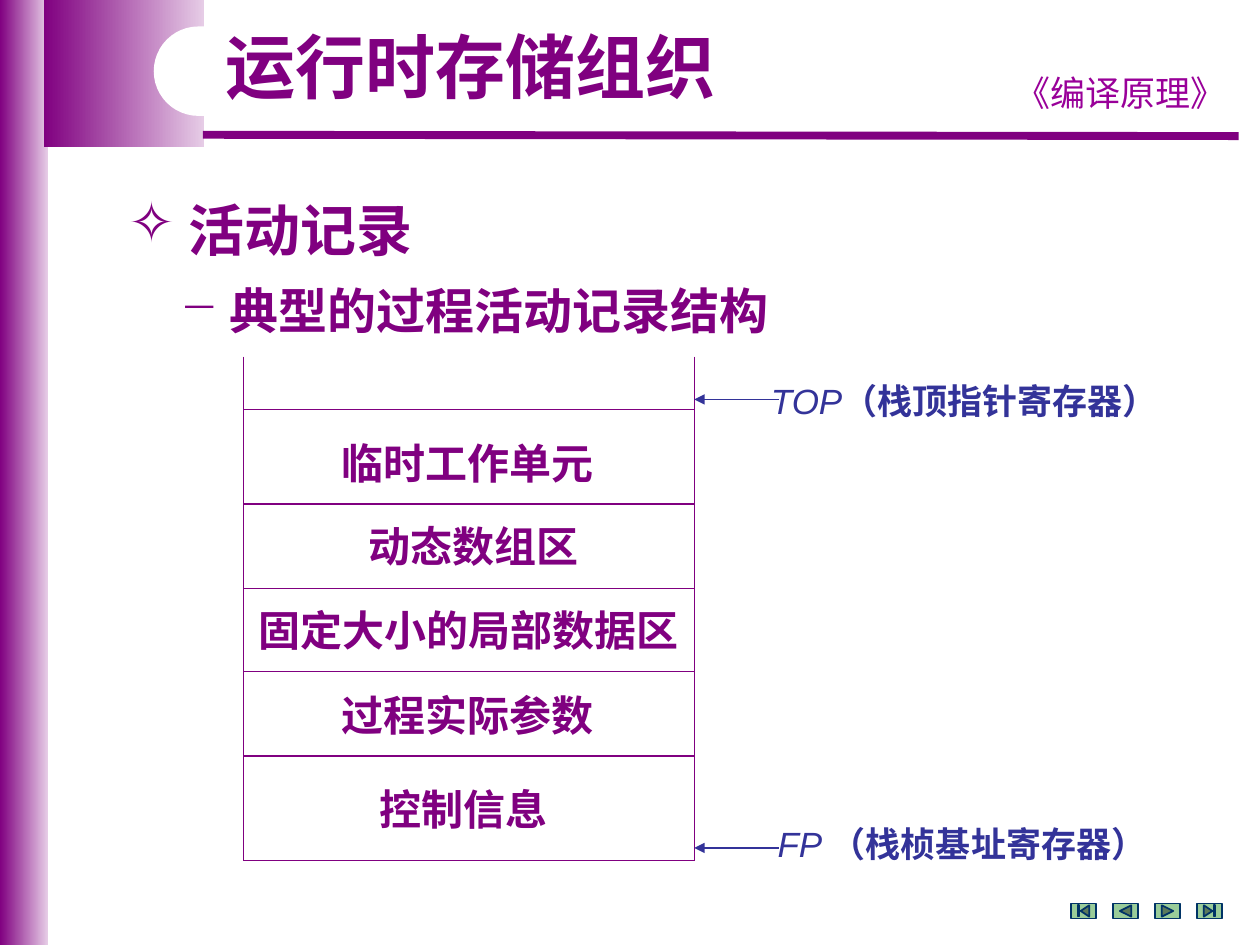
from pptx import Presentation
from pptx.dml.color import RGBColor
from pptx.enum.shapes import MSO_CONNECTOR, MSO_SHAPE as Shape
from pptx.enum.text import MSO_ANCHOR, MSO_AUTO_SIZE, PP_ALIGN as Align
from pptx.oxml.ns import qn
from pptx.util import Inches, Pt
from lxml import etree

COLORS = {
    "purple": "800080",
    "pale": "E6CCE6",
    "course": "990099",
    "pointer": "333399",
    "button": "99CC99",
    "button_line": "003366",
    "white": "FFFFFF",
}


def rgb(name):
    return RGBColor.from_string(COLORS[name])


def write(box, spans, size, color="purple", align=Align.LEFT, spacing=None,
          bullet=None, indent=0):
    """Fill a box with one paragraph; each span is (text, font, bold, italic)."""
    frame = box.text_frame
    frame.word_wrap = True
    frame.auto_size = MSO_AUTO_SIZE.SHAPE_TO_FIT_TEXT
    frame.vertical_anchor = MSO_ANCHOR.TOP
    frame.margin_left = frame.margin_right = Inches(0.1)
    frame.margin_top = frame.margin_bottom = Inches(0.05)
    para = frame.paragraphs[0]
    para.alignment = align
    para.space_before = Pt(0)
    if spacing:
        para.line_spacing = spacing
    if bullet:
        props = para._p.get_or_add_pPr()
        props.set("marL", str(Inches(indent)))
        props.set("indent", str(-Inches(indent)))
        etree.SubElement(props, qn("a:buChar")).set("char", bullet)
    for text, font, bold, italic in spans:
        span = para.add_run()
        span.text = text
        span.font.name = font
        span.font.size = Pt(size)
        span.font.bold = bold
        span.font.italic = italic
        span.font.color.rgb = rgb(color)


def add_text(page, left, top, width, height, spans, size, **format_options):
    box = page.shapes.add_textbox(
        Inches(left), Inches(top), Inches(width), Inches(height))
    write(box, spans, size, **format_options)


def add_block(page, kind, left, top, width, height, fill=None, line=None):
    """Add a preset shape; without a fill name it gets the purple fade."""
    block = page.shapes.add_shape(
        kind, Inches(left), Inches(top), Inches(width), Inches(height))
    block.shadow.inherit = False
    if fill:
        block.fill.solid()
        block.fill.fore_color.rgb = rgb(fill)
    else:
        block.fill.gradient()
        block.fill.gradient_angle = 0
        for stop, name, place in zip(block.fill.gradient_stops,
                                     ("purple", "pale"), (0, 1)):
            stop.color.rgb = rgb(name)
            stop.position = place
    if line:
        block.line.color.rgb = rgb(line)
        block.line.width = Pt(1)
    else:
        block.line.fill.background()
    return block


def add_line(page, x1, y1, x2, y2, color="purple", width=0.75, arrow=False):
    line = page.shapes.add_connector(
        MSO_CONNECTOR.STRAIGHT, Inches(x1), Inches(y1), Inches(x2), Inches(y2))
    line.line.color.rgb = rgb(color)
    line.line.width = Pt(width)
    if arrow:
        etree.SubElement(line.line._get_or_add_ln(),
                         qn("a:tailEnd")).set("type", "triangle")
    etree.SubElement(line._element.spPr, qn("a:effectLst"))


def add_header(page, left, top, width, height):
    """Side band, corner block, rule, course name and slide title."""
    add_block(page, Shape.RECTANGLE, 0, 0, 0.38, 7.5)
    add_block(page, Shape.RECTANGLE, left, top, 1.27, height)
    add_line(page, left + 1.26, 1.07, left + width, 1.08, width=4.5)
    add_text(page, 7.91, 0.52, 1.97, 0.43,
             [("《编译原理》", "Comic Neue", False, False)], 20,
             color="course", align=Align.CENTER)
    notch = add_block(page, Shape.ROUNDED_RECTANGLE, 1.22, 0.21, 3.62, 0.71,
                      fill="white")
    notch.adjustments[0] = 0.5

    title = page.shapes.title
    title.left, title.top = Inches(1.69), Inches(0.21)
    title.width, title.height = Inches(4.14), Inches(0.7)
    write(title, [("运行时存储组织", "Arial", True, False)], 40, spacing=0.9)
    # Bring the title in front of the white notch
    page.shapes._spTree.append(title._element)


def add_outline(page, left, top):
    """The two bulleted headings."""
    add_text(page, left, top, 7.33, 0.63,
             [(" ", "Times New Roman", True, False),
              ("活动记录", "Arial", True, False)],
             32, bullet="✧", indent=0.38)
    add_text(page, left + 0.41, top + 0.68, 6.62, 0.57,
             [(" 典型的", "Noto Sans CJK SC", True, False),
              ("过程活动记录结构", "Times New Roman", True, False)],
             28, bullet="−", indent=0.25)


def add_record(page, left, top, width, height):
    """Activation record: an open-topped stack of labelled cells."""
    right, bottom = left + width, top + height
    for x in (left, right):
        add_line(page, x, top, x, bottom)
    for y in (3.25, 4, 4.67, 5.33, 6, bottom):
        add_line(page, left, y, right, y)
    cells = [  # label, left offset, top, width
        ("临时工作单元", 0.06, 3.42, 3.44),
        ("动态数组区", 0.06, 4.08, 3.53),
        ("固定大小的局部数据区", 0, 4.75, 3.58),
        ("过程实际参数", 0.06, 5.42, 3.44),
        ("控制信息", 0, 6.17, 3.5),
    ]
    for label, offset, y, cell_width in cells:
        add_text(page, left + offset, y, cell_width, 0.5,
                 [(label, "Arial", True, False)], 24, align=Align.CENTER)


def add_pointer(page, tip, y, box, register, meaning):
    """Arrow into the record with the register it stands for."""
    add_line(page, tip + 0.67, y, tip, y, color="pointer", arrow=True)
    add_text(page, *box,
             [(register, "Arial", False, True), (meaning, "Arial", True, False)],
             20, color="pointer", align=Align.CENTER)


def add_navigation(page, left, top):
    kinds = (Shape.ACTION_BUTTON_BEGINNING,
             Shape.ACTION_BUTTON_BACK_OR_PREVIOUS,
             Shape.ACTION_BUTTON_FORWARD_OR_NEXT,
             Shape.ACTION_BUTTON_END)
    for index, kind in enumerate(kinds):
        add_block(page, kind, left + index / 3, top, 0.2, 0.12,
                  fill="button", line="button_line")


def main():
    deck = Presentation()
    deck.slide_width, deck.slide_height = Inches(10), Inches(7.5)
    page = deck.slides.add_slide(deck.slide_layouts[5])
    add_header(page, 0.35, 0, 9.48, 1.17)
    add_outline(page, 0.92, 1.5)
    add_record(page, 1.93, 2.83, 3.58, 4)
    add_pointer(page, 5.51, 3.17, (6, 2.96, 3.31, 0.43),
                "TOP", "（栈顶指针寄存器）")
    add_pointer(page, 5.51, 6.73, (5.92, 6.48, 3.43, 0.43),
                "FP ", "（栈桢基址寄存器）")
    add_navigation(page, 8.5, 7.17)
    deck.save("out.pptx")


if __name__ == "__main__":
    main()
